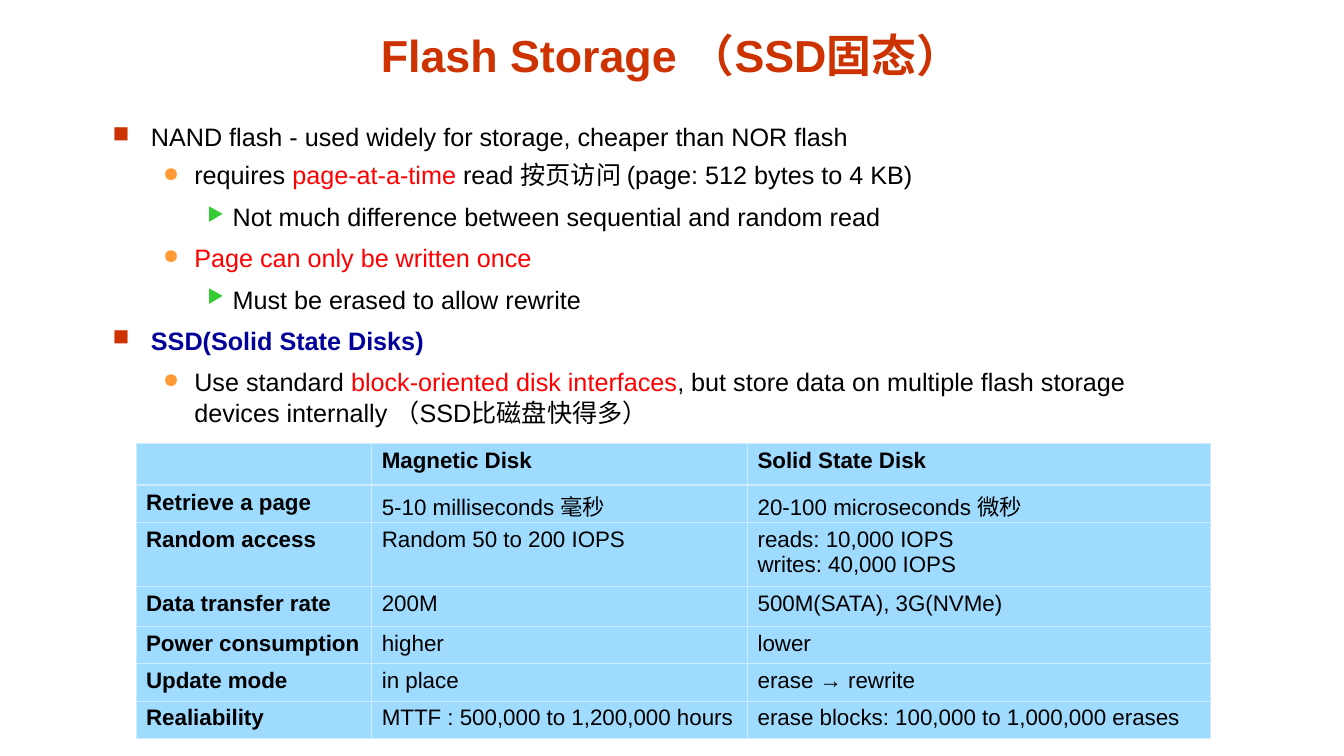
from typing import NamedTuple

from lxml import etree
from pptx import Presentation
from pptx.dml.color import RGBColor
from pptx.enum.text import MSO_ANCHOR, PP_ALIGN
from pptx.oxml.ns import qn
from pptx.util import Emu, Pt

EMU_PER_PX = 9144  # 100 px to the inch
BOTTOM, TOP = MSO_ANCHOR.BOTTOM, MSO_ANCHOR.TOP
CENTER, LEFT = PP_ALIGN.CENTER, PP_ALIGN.LEFT

FONT = "Arial"
BLACK, RED, NAVY, RUST = "000000", "FF0000", "000099", "CC3300"
CELL_FILL, CELL_BORDER = "9EDBFF", "CCECFF"
THIN, THICK = 0.45, 1.47


class Span(NamedTuple):
    text: str
    color: str = BLACK
    bold: bool = False


class Level(NamedTuple):
    margin: int
    hanging: int
    bullet: str
    color: str
    percent: int


class Item(NamedTuple):
    level: Level
    spans: list[Span]
    line_spacing: float = 1.0


SQUARE = Level(38, 38, "■", RUST, 90)
DOT = Level(81, 31, "●", "FF9933", 80)
ARROW = Level(119, 25, "▶", "33CC33", 75)

ITEMS = [
    Item(SQUARE, [Span("NAND flash - used widely for storage, cheaper than NOR flash")], 0.9),
    Item(DOT, [Span("requires "), Span("page-at-a-time ", RED),
               Span("read 按页访问 (page: 512 bytes to 4 KB)")], 0.9),
    Item(ARROW, [Span("Not much difference between sequential and random read")]),
    Item(DOT, [Span("Page can only be written once", RED)]),
    Item(ARROW, [Span("Must be erased to allow rewrite")]),
    Item(SQUARE, [Span("SSD(Solid State Disks)", NAVY, True)]),
    Item(DOT, [Span("Use standard "), Span("block-oriented disk interfaces", RED),
               Span(", but store data on multiple flash storage devices internally "
                    "（SSD比磁盘快得多）")]),
]

COLUMN_WIDTHS = [234, 373, 459]
ROW_HEIGHTS = [41, 37, 63, 40, 37, 37, 37]
COMPARISON = [
    ["", "Magnetic Disk", "Solid State Disk"],
    ["Retrieve a page", "5-10 milliseconds 毫秒", "20-100 microseconds 微秒"],
    ["Random access", "Random 50 to 200 IOPS", "reads: 10,000 IOPS\nwrites: 40,000 IOPS"],
    ["Data transfer rate", "200M", "500M(SATA), 3G(NVMe)"],
    ["Power consumption", "higher", "lower"],
    ["Update mode", "in place", "erase → rewrite"],
    ["Realiability", "MTTF : 500,000 to 1,200,000 hours",
     "erase blocks: 100,000 to 1,000,000 erases"],
]


def px(length: int) -> Emu:
    return Emu(length * EMU_PER_PX)


def rgb(color: str) -> RGBColor:
    return RGBColor.from_string(color)


def add_span(para, span: Span, size: int) -> None:
    run = para.add_run()
    run.text = span.text
    run.font.name = FONT
    run.font.size = Pt(size)
    run.font.bold = span.bold
    run.font.color.rgb = rgb(span.color)


def add_color(parent, color: str) -> None:
    etree.SubElement(parent, qn("a:srgbClr"), val=color)


def add_box(page, left: int, top: int, width: int, height: int, anchor):
    frame = page.shapes.add_textbox(px(left), px(top), px(width), px(height)).text_frame
    frame.word_wrap = True
    frame.vertical_anchor = anchor
    return frame


def next_paragraph(frame, index: int):
    return frame.add_paragraph() if index else frame.paragraphs[0]


def set_bullet(para, level: Level) -> None:
    properties = para._p.get_or_add_pPr()
    properties.set("marL", str(px(level.margin)))
    properties.set("indent", str(-px(level.hanging)))
    add_color(etree.SubElement(properties, qn("a:buClr")), level.color)
    etree.SubElement(properties, qn("a:buSzPct"), val=str(level.percent * 1000))
    etree.SubElement(properties, qn("a:buChar"), char=level.bullet)


def add_title(page) -> None:
    para = add_box(page, 279, 19, 774, 67, BOTTOM).paragraphs[0]
    para.alignment = CENTER
    add_span(para, Span("Flash Storage （SSD固态）", RUST, True), 32)


def add_outline(page) -> None:
    frame = add_box(page, 102, 119, 1048, 426, TOP)
    for index, item in enumerate(ITEMS):
        para = next_paragraph(frame, index)
        set_bullet(para, item.level)
        para.alignment = LEFT
        para.line_spacing = item.line_spacing
        para.space_before = Pt(7.9 if index else 0)
        for span in item.spans:
            add_span(para, span, 18)


def set_borders(cell, row: int) -> None:
    """Draw thin borders, with a thick rule between the header and the first row."""
    widths = {"a:lnL": THIN, "a:lnR": THIN,
              "a:lnT": THICK if row == 1 else THIN,
              "a:lnB": THICK if row == 0 else THIN}
    properties = cell._tc.get_or_add_tcPr()
    for tag, width in widths.items():
        line = etree.SubElement(properties, qn(tag), w=str(Pt(width)))
        add_color(etree.SubElement(line, qn("a:solidFill")), CELL_BORDER)


def add_comparison(page) -> None:
    table = page.shapes.add_table(
        len(ROW_HEIGHTS), len(COLUMN_WIDTHS), px(135), px(440),
        px(sum(COLUMN_WIDTHS)), px(sum(ROW_HEIGHTS))).table
    table.first_row = False
    table.horz_banding = False
    for column, width in zip(table.columns, COLUMN_WIDTHS):
        column.width = px(width)
    for row, height in zip(table.rows, ROW_HEIGHTS):
        row.height = px(height)
    for row, texts in enumerate(COMPARISON):
        for column, text in enumerate(texts):
            cell = table.cell(row, column)
            set_borders(cell, row)
            cell.fill.solid()
            cell.fill.fore_color.rgb = rgb(CELL_FILL)
            if not text:
                continue
            for index, line in enumerate(text.split("\n")):
                para = next_paragraph(cell.text_frame, index)
                add_span(para, Span(line, bold=row == 0 or column == 0), 16)


def main() -> None:
    deck = Presentation()
    deck.slide_width, deck.slide_height = px(1334), px(750)
    page = deck.slides.add_slide(deck.slide_layouts[6])
    add_title(page)
    add_outline(page)
    add_comparison(page)
    deck.save("out.pptx")


if __name__ == "__main__":
    main()
